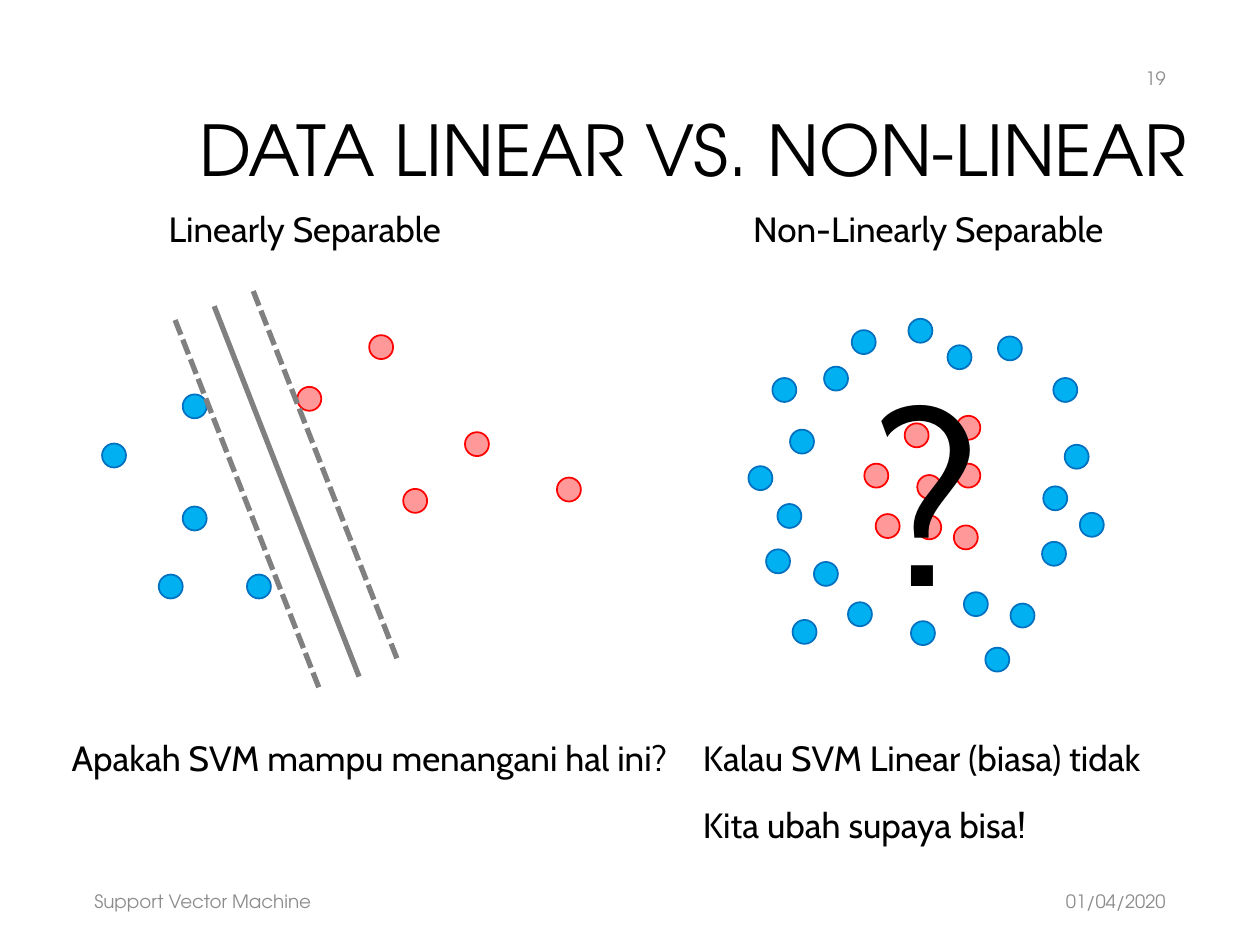
from lxml import etree
from pptx import Presentation
from pptx.dml.color import RGBColor
from pptx.enum.dml import MSO_LINE
from pptx.enum.shapes import MSO_CONNECTOR, MSO_SHAPE
from pptx.enum.text import MSO_ANCHOR, MSO_AUTO_SIZE, PP_ALIGN
from pptx.oxml.ns import qn
from pptx.util import Inches, Pt

LEFT, RIGHT = PP_ALIGN.LEFT, PP_ALIGN.RIGHT
TOP, MIDDLE = MSO_ANCHOR.TOP, MSO_ANCHOR.MIDDLE
SOLID, DOTTED = MSO_LINE.SOLID, MSO_LINE.SQUARE_DOT
OVAL = MSO_SHAPE.OVAL
STRAIGHT = MSO_CONNECTOR.STRAIGHT

HEADING_FONT = "TeX Gyre Adventor"
BODY_FONT = "Cabin"
COLOURS = {
    "text": "000000",
    "footer": "8C8C8C",
    "separator": "808080",
    "red fill": "FF9999",
    "red line": "FF0000",
    "blue fill": "00B0F0",
    "blue line": "0070C0",
}
RGB = {name: RGBColor.from_string(value) for name, value in COLOURS.items()}
DOT_SIZE = 0.19


def write(box, text, font, size, colour="text", align=LEFT, anchor=TOP, wrap=True):
    frame = box.text_frame
    frame.word_wrap = wrap
    frame.auto_size = MSO_AUTO_SIZE.NONE
    frame.vertical_anchor = anchor
    para = frame.paragraphs[0]
    para.alignment = align
    span = para.add_run()
    span.text = text
    span.font.name = font
    span.font.size = Pt(size)
    span.font.color.rgb = RGB[colour]
    return para


def add_dots(group, hue, corners):
    """Draw one class of data points, given their top left corners."""
    for x, y in corners:
        dot = group.shapes.add_shape(
            OVAL, Inches(x), Inches(y), Inches(DOT_SIZE), Inches(DOT_SIZE))
        dot.shadow.inherit = False
        dot.fill.solid()
        dot.fill.fore_color.rgb = RGB[f"{hue} fill"]
        dot.line.color.rgb = RGB[f"{hue} line"]
        dot.line.width = Pt(1)


deck = Presentation()
deck.slide_width, deck.slide_height = Inches(10), Inches(7.5)
page = deck.slides.add_slide(deck.slide_layouts[5])

# Title, footer and page number
title = page.shapes.title
title.left, title.top = Inches(1.16), Inches(0.52)
title.width, title.height = Inches(8.36), Inches(1.41)
heading = write(title, "DATA LINEAR VS. NON-LINEAR", HEADING_FONT, 40,
                align=RIGHT, anchor=MIDDLE)
heading.line_spacing = 0.9

for text, x, y, width, align in [
    ("01/04/2020", 7.01, 6.95, 2.34, RIGHT),
    ("Support Vector Machine", 0.65, 6.95, 6.21, LEFT),
    ("19", 7.19, 0.42, 2.16, RIGHT),
]:
    box = page.shapes.add_textbox(Inches(x), Inches(y), Inches(width), Inches(0.4))
    write(box, text, HEADING_FONT, 10.5, "footer", align, MIDDLE)

# Non-linear data: a red core inside a blue ring
core = page.shapes.add_group_shape()
add_dots(core, "red", [
    (7.18, 3.36), (7.59, 3.68), (6.86, 3.68), (7.28, 3.77),
    (6.95, 4.08), (7.57, 4.17), (7.59, 3.3), (7.28, 4.09),
])
ring = page.shapes.add_group_shape()
add_dots(ring, "blue", [
    (6.76, 2.62), (6.54, 2.91), (6.13, 3), (6.27, 3.41), (5.94, 3.7), (6.17, 4),
    (7.21, 2.53), (7.92, 2.67), (8.36, 3), (7.52, 2.74), (8.45, 3.53),
    (8.57, 4.07), (8.28, 3.86), (8.27, 4.3), (8.02, 4.79), (6.08, 4.36),
    (6.46, 4.46), (6.29, 4.92), (6.73, 4.78), (7.23, 4.93), (7.65, 4.7),
    (7.82, 5.14),
])

# Linear data: two classes with a separating line and its margins
linear = page.shapes.add_group_shape()
add_dots(linear, "red", [
    (2.93, 2.66), (2.36, 3.07), (3.69, 3.43), (3.2, 3.88), (4.42, 3.79),
])
add_dots(linear, "blue", [
    (1.45, 3.13), (1.45, 4.02), (0.81, 3.52), (1.96, 4.56), (1.26, 4.56),
])
for x, y, dash in [(1.7, 2.43, SOLID), (2.01, 2.31, DOTTED), (1.39, 2.54, DOTTED)]:
    line = page.shapes.add_connector(
        STRAIGHT, Inches(x), Inches(y), Inches(x + 1.15), Inches(y + 2.94))
    line.line.color.rgb = RGB["separator"]
    line.line.width = Pt(3)
    line.line.dash_style = dash
    etree.SubElement(line._element.spPr, qn("a:effectLst"))

# Captions and the question mark over the ring
for text, x, y, width, height, size, wrap in [
    ("?", 6.84, 2.69, 1.16, 2.42, 138, False),
    ("Linearly Separable", 1.24, 1.6, 2.44, 0.44, 20, False),
    ("Non-Linearly Separable", 5.88, 1.6, 3.06, 0.44, 20, False),
    ("Apakah SVM mampu menangani hal ini?", 0.47, 5.8, 5.06, 0.44, 20, False),
    ("Kalau SVM Linear (biasa) tidak", 5.48, 5.8, 4.04, 0.44, 20, True),
    ("Kita ubah supaya bisa!", 5.48, 6.33, 3.55, 0.44, 20, True),
]:
    box = page.shapes.add_textbox(Inches(x), Inches(y), Inches(width), Inches(height))
    write(box, text, BODY_FONT, size, wrap=wrap)

deck.save("out.pptx")
